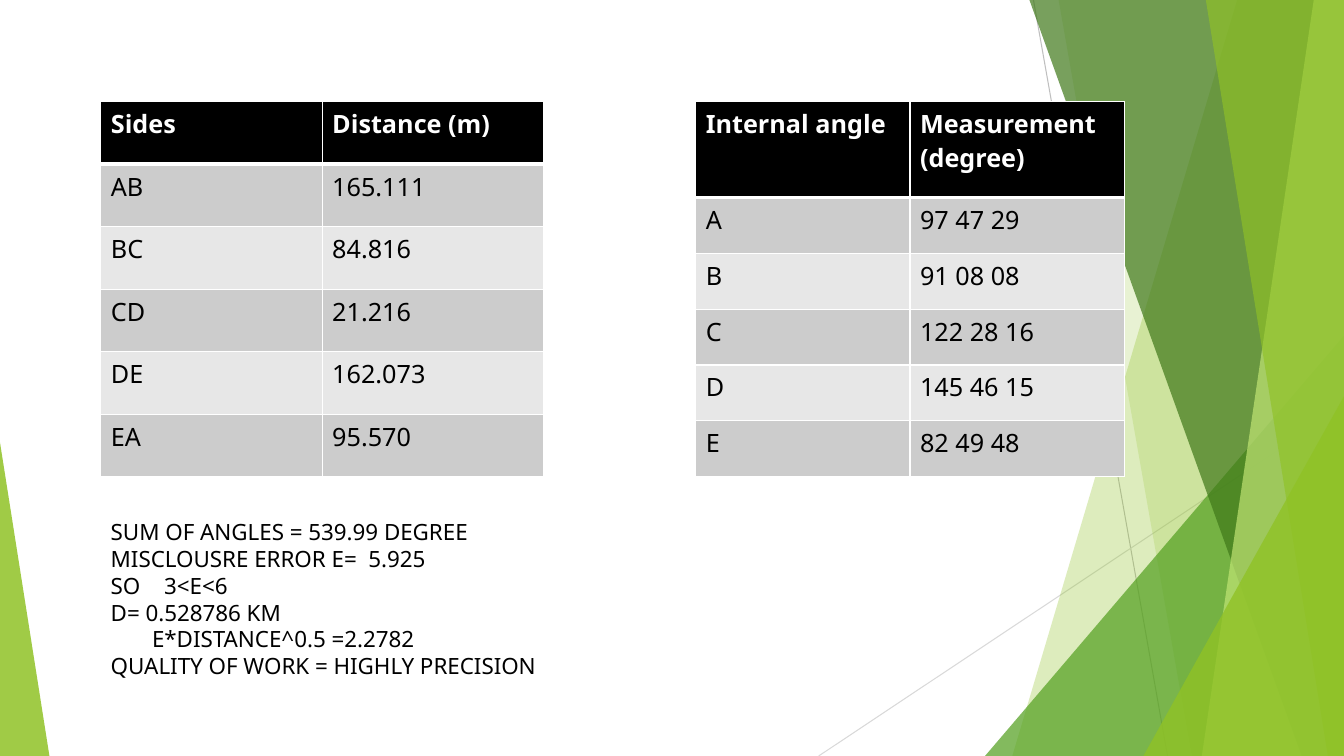
import pptx
import pptx.util
import pptx.dml.color
import pptx.enum.shapes
import pptx.enum.text
import pptx.oxml
import pptx.oxml.ns
from lxml import etree

WIDTH, HEIGHT = 13.33, 7.5
FONT = "Noto Sans"
COLOURS = {
    "black": "000000", "white": "FFFFFF", "odd row": "CCCCCC", "even row": "E7E7E7",
    "lime": "90C226", "green": "54A021", "forest": "3F7819", "pale": "C0E474",
    "grey": "BFBFBF", "light grey": "D9D9D9",
}

# Content
SIDES = [
    ("Sides", "Distance (m)"),
    ("AB", "165.111"), ("BC", "84.816"), ("CD", "21.216"), ("DE", "162.073"), ("EA", "95.570"),
]
ANGLES = [
    ("Internal angle", "Measurement (degree)"),
    ("A", "97 47 29"), ("B", "91 08 08"), ("C", "122 28 16"), ("D", "145 46 15"), ("E", "82 49 48"),
]
# Text, left indent
RESULTS = [
    ("SUM OF ANGLES = 539.99 DEGREE", 0),
    ("MISCLOUSRE ERROR E=  5.925", 0),
    ("SO\t3<E<6", 0),
    ("D= 0.528786 KM", 0),
    ("E*DISTANCE^0.5 =2.2782", 0.41),
    ("QUALITY OF WORK = HIGHLY PRECISION", 0),
]
RESULT_TAB = 0.53

# Left, width, header height, rows
TABLES = [(1, 4.39, 0.62, SIDES), (6.9, 4.25, 0.95, ANGLES)]
TABLE_TOP, TABLE_HEIGHT = 1.01, 3.72

# Decoration, back to front
RAYS = [((10.25, 0), (11.58, HEIGHT), "grey"), ((WIDTH, 4.03), (8.12, HEIGHT), "light grey")]
# Bands reach the right edge: (left at top, left at bottom)
# Wedges stand on the bottom edge: (left, top, width, apex share)
DECOR = [
    ("band", (12.27, 10.04), "lime", 30),
    ("band", (10.5, 11.82), "lime", 20),
    ("wedge", (9.77, 3.33, 3.56, 1), "green", 72),
    ("band", (10.21, 12.91), "forest", 70),
    ("band", (13.03, 11.92), "pale", 70),
    ("band", (11.96, 13.17), "lime", 65),
    ("wedge", (11.34, 3.93, 1.99, 1), "lime", 80),
    ("wedge", (0, 4.39, 0.49, 0), "lime", 85),
]

inch = pptx.util.Inches
qn = pptx.oxml.ns.qn


def colour(name):
    return pptx.dml.color.RGBColor.from_string(COLOURS[name])


def write(paragraph, text, size=18, tint="black", bold=False):
    run = paragraph.add_run()
    run.text = text
    run.font.name = FONT
    run.font.size = pptx.util.Pt(size)
    run.font.bold = bold
    run.font.color.rgb = colour(tint)


def paint(shape, tint, opacity):
    shape.shadow.inherit = False
    shape.line.fill.background()
    shape.fill.solid()
    shape.fill.fore_color.rgb = colour(tint)
    solid = shape.fill._xPr.find(qn("a:solidFill"))
    etree.SubElement(solid[0], qn("a:alpha"), val=str(opacity * 1000))


def add_ray(shapes, start, end, tint):
    ray = shapes.add_connector(pptx.enum.shapes.MSO_CONNECTOR.STRAIGHT,
                               *[inch(v) for v in start + end])
    ray.line.color.rgb = colour(tint)
    ray.line.width = pptx.util.Pt(0.75)
    etree.SubElement(ray._element.spPr, qn("a:effectLst"))


def add_band(shapes, top_left, bottom_left):
    corners = [(top_left, 0), (WIDTH, 0), (WIDTH, HEIGHT), (bottom_left, HEIGHT)]
    first, *others = [(inch(x), inch(y)) for x, y in corners]
    outline = shapes.build_freeform(*first)
    outline.add_line_segments(others, close=True)
    return outline.convert_to_shape()


def add_wedge(shapes, left, top, width, apex):
    wedge = shapes.add_shape(pptx.enum.shapes.MSO_SHAPE.ISOSCELES_TRIANGLE,
                             inch(left), inch(top), inch(width), inch(HEIGHT - top))
    wedge.adjustments[0] = apex
    return wedge


def set_borders(cell, widths):
    props = cell._tc.get_or_add_tcPr()
    for place, (side, width) in enumerate(widths.items()):
        line = etree.Element(qn("a:ln" + side), w=str(pptx.util.Pt(width)))
        fill = etree.SubElement(line, qn("a:solidFill"))
        etree.SubElement(fill, qn("a:srgbClr"), val=COLOURS["white"])
        props.insert(place, line)


def add_readings(shapes, left, width, header_height, rows):
    frame = shapes.add_table(len(rows), len(rows[0]), inch(left), inch(TABLE_TOP),
                             inch(width), inch(TABLE_HEIGHT))
    table = frame.table
    body_height = (TABLE_HEIGHT - header_height) / (len(rows) - 1)
    for r, values in enumerate(rows):
        header = r == 0
        table.rows[r].height = inch(body_height if r else header_height)
        row_fill = "black" if header else "odd row" if r % 2 else "even row"
        for c, value in enumerate(values):
            cell = table.cell(r, c)
            cell.fill.solid()
            cell.fill.fore_color.rgb = colour(row_fill)
            set_borders(cell, {"L": 1, "R": 1, "T": 3 if r == 1 else 1, "B": 3 if header else 1})
            write(cell.text_frame.paragraphs[0], value,
                  tint="white" if header else "black", bold=header)


def add_results(shapes):
    box = shapes.add_textbox(inch(1), inch(5.09), inch(10.5), inch(1.89))
    frame = box.text_frame
    frame.word_wrap = True
    frame.vertical_anchor = pptx.enum.text.MSO_ANCHOR.TOP
    for i, (text, indent) in enumerate(RESULTS):
        paragraph = frame.add_paragraph() if i else frame.paragraphs[0]
        props = paragraph._p.get_or_add_pPr()
        props.set("marL", str(inch(indent)))
        if "\t" in text:
            tabs = etree.SubElement(props, qn("a:tabLst"))
            etree.SubElement(tabs, qn("a:tab"), pos=str(inch(RESULT_TAB)), algn="l")
        write(paragraph, text, size=16)


def main():
    deck = pptx.Presentation()
    deck.slide_width, deck.slide_height = inch(WIDTH), inch(HEIGHT)
    shapes = deck.slides.add_slide(deck.slide_layouts[6]).shapes

    # Background decoration
    for ray in RAYS:
        add_ray(shapes, *ray)
    builders = {"band": add_band, "wedge": add_wedge}
    for kind, geometry, tint, opacity in DECOR:
        paint(builders[kind](shapes, *geometry), tint, opacity)

    # Results and survey tables
    add_results(shapes)
    for readings in TABLES:
        add_readings(shapes, *readings)

    deck.save("out.pptx")


if __name__ == "__main__":
    main()
